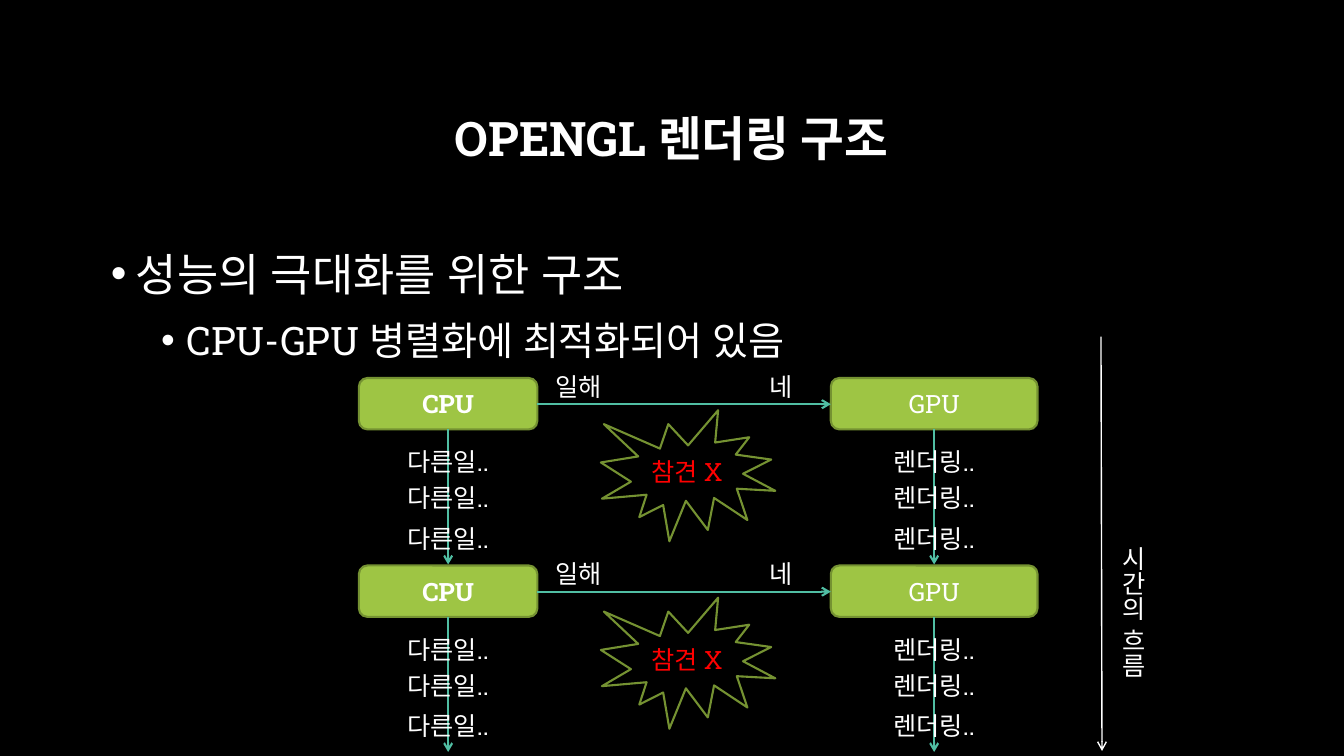
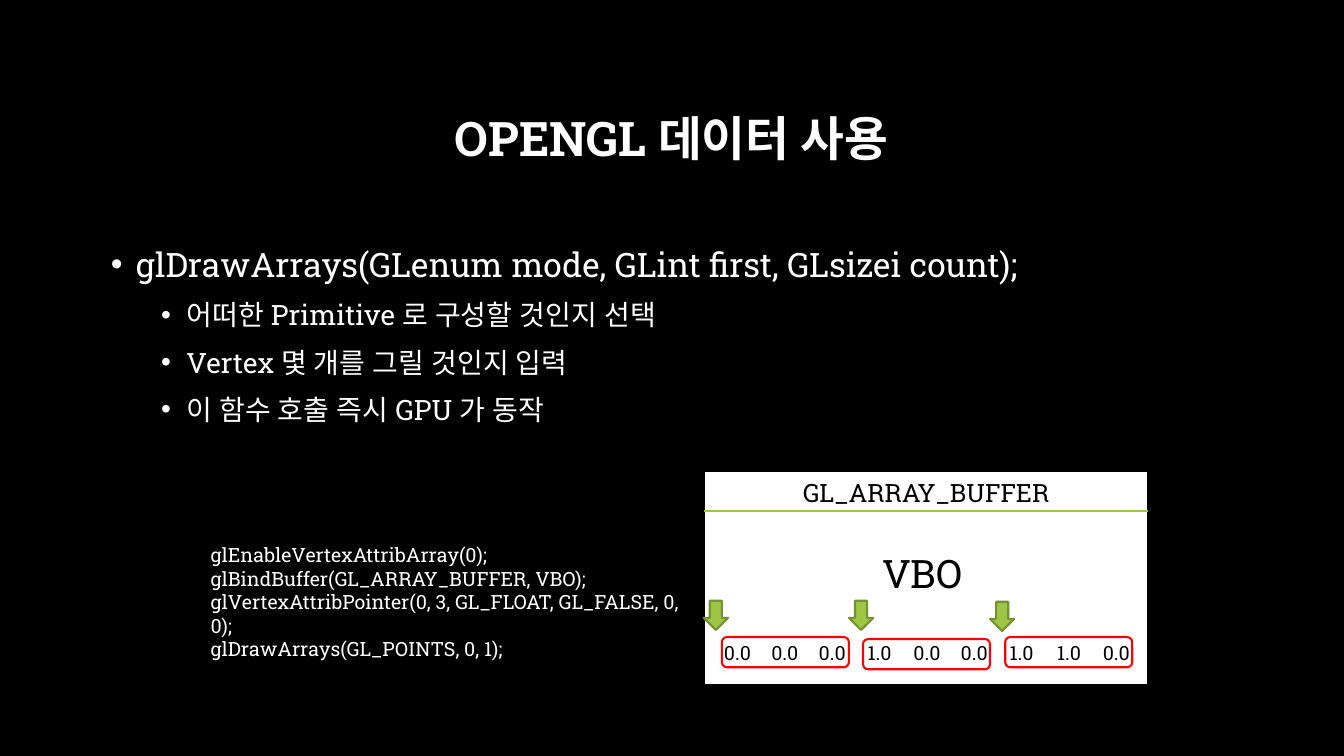
from lxml import etree
from pptx import Presentation
from pptx import util as u
from pptx.dml.color import RGBColor
from pptx.enum import shapes as sh, text as tx
from pptx.oxml import ns

# Shared look
BLACK = RGBColor(0x00, 0x00, 0x00)
WHITE = RGBColor(0xFF, 0xFF, 0xFF)
GREEN = RGBColor(0x9E, 0xC5, 0x44)
OLIVE = RGBColor(0x75, 0x92, 0x32)
TEAL = RGBColor(0x50, 0xBE, 0xA3)
RED = RGBColor(0xFF, 0x00, 0x00)
FONT = "Roboto Slab"
CENTER = {"alignment": tx.PP_ALIGN.CENTER}
TITLE = {"alignment": tx.PP_ALIGN.CENTER, "line_spacing": 0.9}
BULLETS = [
    {"line_spacing": 1.2, "space_before": u.Pt(10)},
    {"line_spacing": 1.2, "space_before": u.Pt(5), "level": 1},
]
BULLET_LEFT = [0.25, 0.75]
HANGING = 0.25


def set_values(target, values):
    for name, value in values.items():
        setattr(target, name, value)


def add_xml(parent, tag, **attributes):
    child = etree.SubElement(parent, ns.qn(tag))
    for name, value in attributes.items():
        child.set(name, str(value))
    return child


def box(left, top, width, height):
    return [u.Inches(value) for value in (left, top, width, height)]


# Text
def write(paragraph, words, size, color=WHITE, bold=False, layout=None):
    set_values(paragraph, layout or {})
    run = paragraph.add_run()
    run.text = words
    set_values(run.font, {"name": FONT, "size": u.Pt(size), "bold": bold})
    run.font.color.rgb = color
    add_xml(run.font._element, "a:ea", typeface=FONT)


def add_text(shapes, place, lines, size, color=WHITE, bold=False, layout=None,
             anchor=tx.MSO_ANCHOR.TOP):
    frame = shapes.add_textbox(*box(*place)).text_frame
    set_values(frame, {"word_wrap": True, "vertical_anchor": anchor})
    for index, line in enumerate(lines):
        paragraph = frame.add_paragraph() if index else frame.paragraphs[0]
        write(paragraph, line, size, color, bold, layout)
    return frame


def add_bullets(slide, items):
    """Each item is (level, size, words)."""
    frame = slide.shapes.add_textbox(*box(1, 2.29, 11.32, 4.04)).text_frame
    frame.word_wrap = True
    for index, (level, size, words) in enumerate(items):
        paragraph = frame.add_paragraph() if index else frame.paragraphs[0]
        write(paragraph, words, size, layout=BULLETS[level])
        properties = paragraph._p.get_or_add_pPr()
        properties.set("marL", str(u.Inches(BULLET_LEFT[level])))
        properties.set("indent", str(-u.Inches(HANGING)))
        add_xml(properties, "a:buFont", typeface="Arial")
        add_xml(properties, "a:buChar", char="•")


# Shapes and lines
def add_figure(shapes, kind, place, fill=None, line=OLIVE):
    figure = shapes.add_shape(kind, *box(*place))
    figure.shadow.inherit = False
    if fill is None:
        figure.fill.background()
    else:
        figure.fill.solid()
        figure.fill.fore_color.rgb = fill
    figure.line.color.rgb = line
    figure.line.width = u.Pt(1.5)
    return figure


def label(figure, words, color=WHITE, bold=False):
    figure.text_frame.vertical_anchor = tx.MSO_ANCHOR.MIDDLE
    write(figure.text_frame.paragraphs[0], words, 18, color, bold, CENTER)


def add_line(shapes, start, end, color, width=1.5, arrow=True):
    line = shapes.add_connector(sh.MSO_CONNECTOR.STRAIGHT, *box(*start, *end))
    line.line.color.rgb = color
    line.line.width = u.Pt(width)
    if arrow:
        add_xml(line.line._get_or_add_ln(), "a:tailEnd", type="arrow")
    add_xml(line._element.spPr, "a:effectLst")


def add_number_table(shapes, place, numbers):
    table = shapes.add_table(1, len(numbers), *box(*place)).table
    set_values(table, {"first_row": False, "horz_banding": False})
    for cell, number in zip(table.iter_cells(), numbers):
        set_values(cell, {"margin_left": u.Inches(0.05),
                          "margin_right": u.Inches(0.05),
                          "vertical_anchor": tx.MSO_ANCHOR.MIDDLE})
        write(cell.text_frame.paragraphs[0], number, 14, BLACK, layout=CENTER)
        properties = cell._tc.get_or_add_tcPr()
        for side in ("a:lnL", "a:lnR", "a:lnT", "a:lnB"):
            border = add_xml(properties, side, w=u.Pt(1))
            add_xml(add_xml(border, "a:solidFill"), "a:srgbClr", val=WHITE)
        cell.fill.background()


# Slides
def add_slide(deck, title):
    slide = deck.slides.add_slide(deck.slide_layouts[6])
    slide.background.fill.solid()
    slide.background.fill.fore_color.rgb = BLACK
    add_text(slide.shapes, (1, 0.67, 11.32, 1.45), [title], 34, bold=True,
             layout=TITLE, anchor=tx.MSO_ANCHOR.MIDDLE)
    return slide


def add_worker(shapes, name, left, width, top, task, bold=False):
    """A processor box with the tasks that follow it in time."""
    block = add_figure(shapes, sh.MSO_SHAPE.ROUNDED_RECTANGLE,
                       (left, top, width, 0.51), GREEN)
    label(block, name, bold=bold)
    middle = left + width / 2
    add_line(shapes, (middle, top + 0.51), (middle, top + 1.85), TEAL)
    for drop in (0.63, 0.99, 1.39):
        add_text(shapes, (middle - 0.55, top + drop, 1.1, 0.4), [task], 18,
                 layout=CENTER)


def add_exchange(shapes, top):
    """One request from the CPU to the GPU."""
    add_worker(shapes, "CPU", 3.56, 1.77, top, "다른일..", bold=True)
    add_worker(shapes, "GPU", 8.24, 2.05, top, "렌더링..")
    add_line(shapes, (5.33, top + 0.26), (8.24, top + 0.26), TEAL)
    for left, words in ((5.41, "일해"), (7.53, "네")):
        add_text(shapes, (left, top - 0.12, 0.71, 0.4), [words], 18)
    burst = add_figure(shapes, sh.MSO_SHAPE.EXPLOSION1,
                       (5.96, top + 0.32, 1.73, 1.3))
    label(burst, "참견 X", RED)


def build_rendering(deck):
    slide = add_slide(deck, "OPENGL 렌더링 구조")
    add_bullets(slide, [(0, 32, "성능의 극대화를 위한 구조"),
                        (1, 28, "CPU-GPU 병렬화에 최적화되어 있음")])
    for step in range(2):
        add_exchange(slide.shapes, 3.75 + 1.86 * step)
    # Time axis
    add_line(slide.shapes, (10.92, 3.34), (10.93, 7.45), WHITE, 1)
    axis = add_text(slide.shapes, (10.93, 4.26, 0.5, 2.36), ["시간의 흐름"], 18)
    axis._txBody.bodyPr.set("vert", "eaVert")


def build_data_use(deck):
    slide = add_slide(deck, "OPENGL 데이터 사용")
    add_bullets(slide, [
        (0, 24, "glDrawArrays(GLenum mode, GLint first, GLsizei count);"),
        (1, 20, "어떠한 Primitive 로 구성할 것인지 선택"),
        (1, 20, "Vertex 몇 개를 그릴 것인지 입력"),
        (1, 20, "이 함수 호출 즉시 GPU 가 동작"),
    ])
    add_text(slide.shapes, (1.99, 5.34, 4.9, 1.04), [
        "glEnableVertexAttribArray(0);",
        "glBindBuffer(GL_ARRAY_BUFFER, VBO);",
        "glVertexAttribPointer(0, 3, GL_FLOAT, GL_FALSE, 0, 0);",
        "glDrawArrays(GL_POINTS, 0, 1);",
    ], 14)
    # Buffer panel
    panel = slide.shapes.add_group_shape().shapes
    add_figure(panel, sh.MSO_SHAPE.FLOWCHART_PROCESS,
               (6.98, 4.67, 4.41, 2.13), WHITE, BLACK)
    add_text(panel, (6.98, 4.69, 4.41, 0.4), ["GL_ARRAY_BUFFER"], 18, BLACK,
             layout=CENTER)
    add_text(panel, (8.65, 5.4, 1.11, 0.57), ["VBO"], 28, BLACK)
    add_line(panel, (6.98, 5.07), (11.39, 5.07), GREEN, 1, arrow=False)
    # Vertices: three numbers each, framed and pointed at
    vertices = ["0.0 0.0 0.0", "1.0 0.0 0.0", "1.0 1.0 0.0"]
    add_number_table(slide.shapes, (7.08, 6.27, 4.23, 0.41),
                     " ".join(vertices).split())
    marks = [(6.98, 5.96, 7.16, 6.32), (8.42, 5.96, 8.56, 6.34),
             (9.82, 5.97, 9.97, 6.32)]
    for arrow_left, arrow_top, frame_left, frame_top in marks:
        add_figure(slide.shapes, sh.MSO_SHAPE.DOWN_ARROW,
                   (arrow_left, arrow_top, 0.24, 0.29), GREEN)
        add_figure(slide.shapes, sh.MSO_SHAPE.ROUNDED_RECTANGLE,
                   (frame_left, frame_top, 1.26, 0.3), line=RED)


def main():
    deck = Presentation()
    set_values(deck, {"slide_width": u.Inches(13.33),
                      "slide_height": u.Inches(7.5)})
    build_rendering(deck)
    build_data_use(deck)
    deck.save("out.pptx")


if __name__ == "__main__":
    main()
